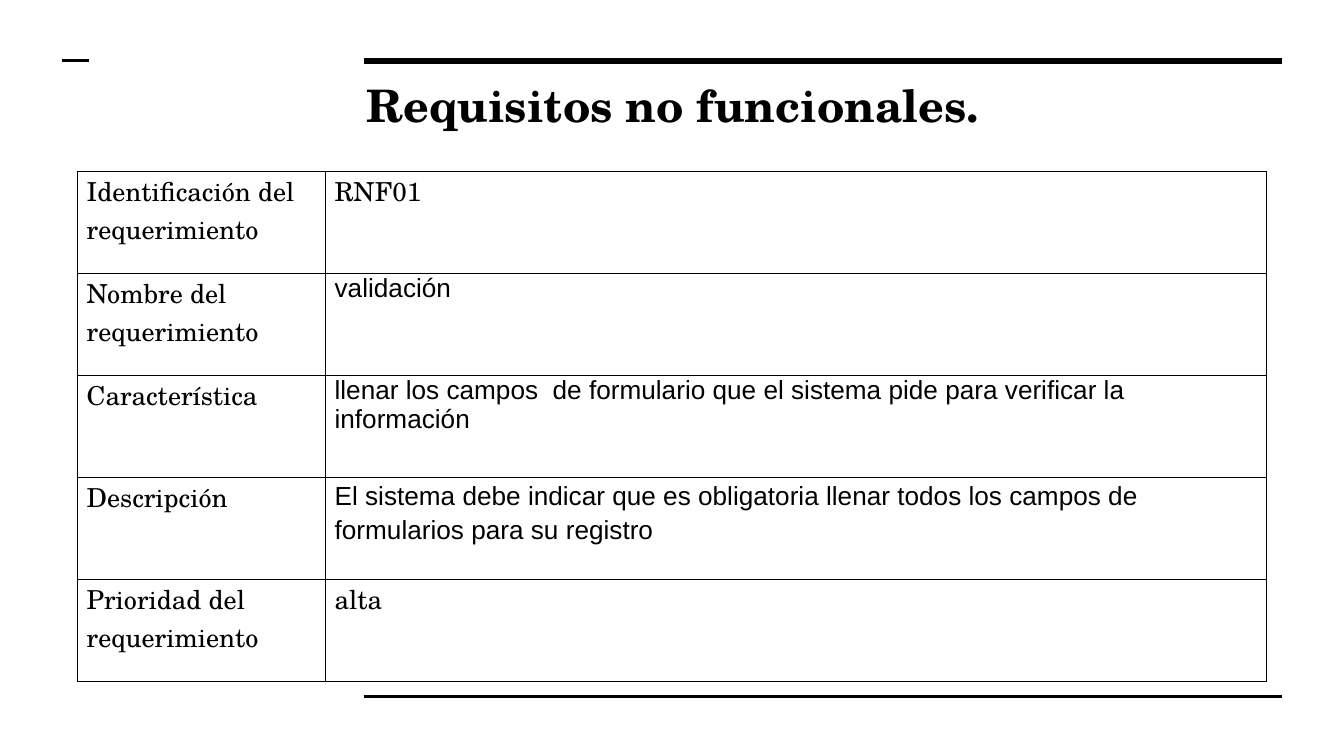
from lxml.etree import SubElement
from pptx import Presentation
from pptx.dml.color import RGBColor
from pptx.enum.shapes import MSO_CONNECTOR
from pptx.enum.text import MSO_ANCHOR, MSO_AUTO_SIZE, PP_ALIGN
from pptx.oxml.ns import qn
from pptx.util import Inches, Pt

WIDTH = Inches(10)
HEIGHT = WIDTH * 9 // 16
COLORS = {"ink": "000000", "paper": "FFFFFF"}
SERIF, SANS = "TeX Gyre Schola", "Arial"

# Label, value, value font, value line spacing
REQUIREMENT = [
    ("Identificación del requerimiento", "RNF01", SERIF, 1),
    ("Nombre del requerimiento", "validación", SANS, 1),
    ("Característica",
     "llenar los campos  de formulario que el sistema pide para verificar la información",
     SANS, 1),
    ("Descripción",
     "El sistema debe indicar que es obligatoria llenar todos los campos de "
     "formularios para su registro", SANS, 1.15),
    ("Prioridad del requerimiento", "alta", SERIF, 1),
]


def across(percent):
    return round(WIDTH * percent / 100)


def down(percent):
    return round(HEIGHT * percent / 100)


class RequirementSlide:
    """Holds the style and the current slide; lengths are percents of its size."""

    def __init__(self, deck):
        self.slide = deck.slides.add_slide(deck.slide_layouts[5])
        background = self.slide.background.fill
        background.solid()
        background.fore_color.rgb = RGBColor.from_string(COLORS["paper"])

    def format_text(self, paragraph, font, size, bold=False, spacing=1):
        paragraph.alignment = PP_ALIGN.LEFT
        paragraph.line_spacing = spacing
        for run in paragraph.runs:
            run.font.name = font
            run.font.size = Pt(size)
            run.font.bold = bold
            run.font.color.rgb = RGBColor.from_string(COLORS["ink"])

    def rule(self, start, end, y, weight):
        line = self.slide.shapes.add_connector(
            MSO_CONNECTOR.STRAIGHT, across(start), down(y), across(end), down(y))
        line.line.color.rgb = RGBColor.from_string(COLORS["ink"])
        line.line.width = Pt(weight)
        SubElement(line._element.spPr, qn("a:effectLst"))

    def title(self, text, left, top, width, height):
        heading = self.slide.shapes.title
        heading.left, heading.top = across(left), down(top)
        heading.width, heading.height = across(width), down(height)
        frame = heading.text_frame
        frame.text = text
        frame.auto_size = MSO_AUTO_SIZE.NONE
        frame.vertical_anchor = MSO_ANCHOR.TOP
        frame.margin_left = frame.margin_right = Inches(0.1)
        frame.margin_top = frame.margin_bottom = Inches(0.1)
        self.format_text(frame.paragraphs[0], SERIF, 24, bold=True, spacing=0.95)

    def table(self, rows, left, top, column_widths, row_height):
        grid = self.slide.shapes.add_table(
            len(rows), len(column_widths), across(left), down(top),
            across(sum(column_widths)), down(row_height * len(rows))).table
        grid.first_row = grid.horz_banding = False
        for column, width in zip(grid.columns, column_widths):
            column.width = across(width)
        for row, (label, value, font, spacing) in enumerate(rows):
            grid.rows[row].height = down(row_height)
            self.cell(grid.cell(row, 0), label, SERIF, 1)
            self.cell(grid.cell(row, 1), value, font, spacing)

    def cell(self, cell, text, font, spacing):
        cell.text_frame.text = text
        cell.margin_left = cell.margin_right = Inches(0.07)
        cell.margin_top = cell.margin_bottom = 0
        cell.vertical_anchor = MSO_ANCHOR.TOP
        self.format_text(cell.text_frame.paragraphs[0], font, 14, spacing=spacing)
        # Borders come before the fill in the cell properties
        properties = cell._tc.get_or_add_tcPr()
        for side in ("a:lnL", "a:lnR", "a:lnT", "a:lnB"):
            border = SubElement(properties, qn(side), w=str(Pt(0.5)))
            ink = SubElement(border, qn("a:solidFill"))
            SubElement(ink, qn("a:srgbClr"), val=COLORS["ink"])
        cell.fill.background()


def main():
    deck = Presentation()
    deck.slide_width, deck.slide_height = WIDTH, HEIGHT
    page = RequirementSlide(deck)

    # Rules above and below the content
    page.rule(27.1, 95.4, 8.05, 3)
    page.rule(27.1, 95.4, 92.1, 1.5)
    page.rule(4.65, 6.65, 8.05, 1.5)

    # Heading and requirement sheet
    page.title("Requisitos no funcionales.", 26.25, 9.05, 69.1, 12.25)
    page.table(REQUIREMENT, 5.75, 22.7, (18.45, 70.05), 13.5)

    deck.save("out.pptx")


if __name__ == "__main__":
    main()
